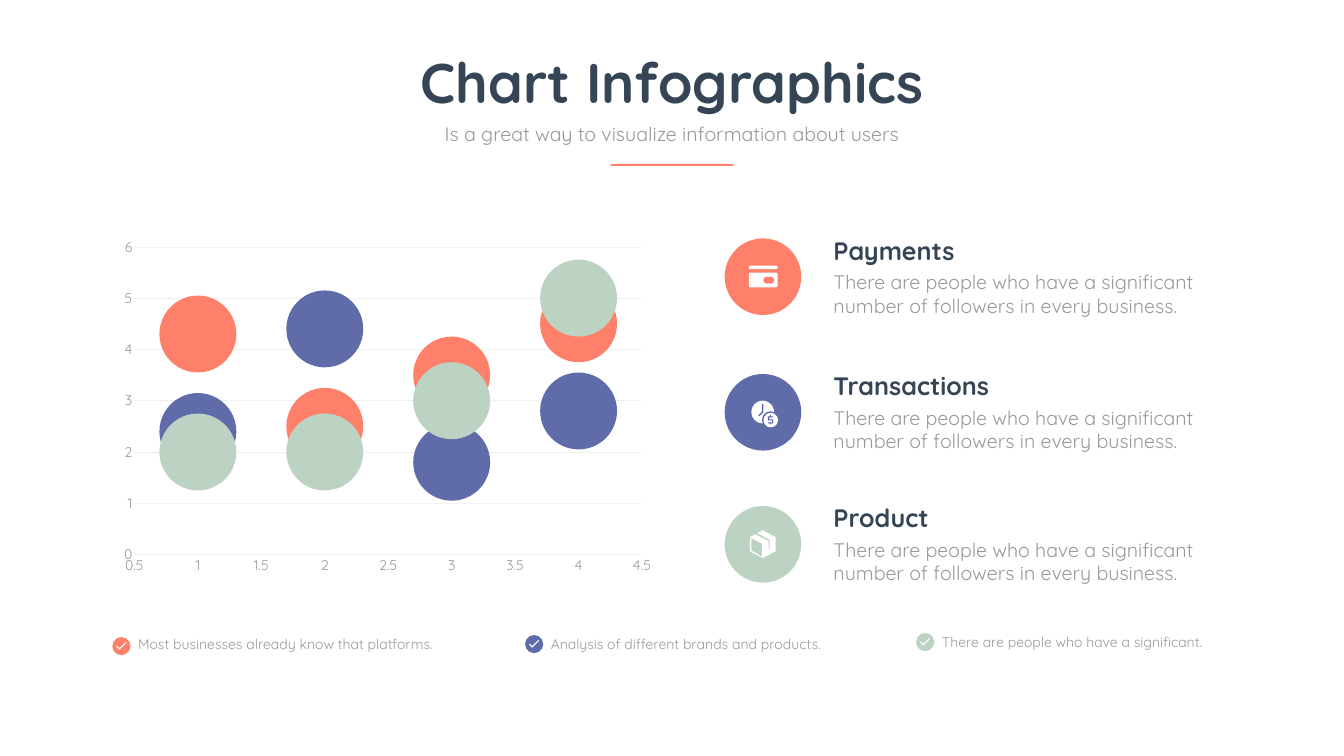
from lxml import etree
from pptx import Presentation
from pptx.chart.data import BubbleChartData
from pptx.dml.color import RGBColor
from pptx.enum.chart import XL_CHART_TYPE, XL_TICK_MARK
from pptx.enum.shapes import MSO_SHAPE
from pptx.enum.text import MSO_ANCHOR, MSO_AUTO_SIZE, PP_ALIGN
from pptx.oxml.ns import qn
from pptx.util import Inches, Pt

BUBBLE = XL_CHART_TYPE.BUBBLE
NO_TICK = XL_TICK_MARK.NONE
OVAL, RECT, ROUNDED = MSO_SHAPE.OVAL, MSO_SHAPE.RECTANGLE, MSO_SHAPE.ROUNDED_RECTANGLE
TOP = MSO_ANCHOR.TOP
GROW = MSO_AUTO_SIZE.SHAPE_TO_FIT_TEXT
LEFT, CENTER = PP_ALIGN.LEFT, PP_ALIGN.CENTER

CORAL, BLUE, SAGE = "FF806A", "5F6CA9", "BCD3C3"
DARK, GREY, PALE, WHITE = "364556", "999999", "F0F0F0", "FFFFFF"

TITLE = dict(name="Quicksand", size=Pt(80), bold=True)
HEADING = dict(name="Quicksand", size=Pt(36), bold=True)
BODY = dict(name="Quicksand", size=Pt(28), bold=False)
SMALL = dict(name="Quicksand", size=Pt(20), bold=False)

SERIES = [
    ("Series 1", CORAL, [4.3, 2.5, 3.5, 4.5]),
    ("Series 2", BLUE, [2.4, 4.4, 1.8, 2.8]),
    ("Series 3", SAGE, [2, 2, 3, 5]),
]
DESCRIPTION = "There are people who have a significant number of followers in every business."
NOTES = [
    (2.23, 12.64, 12.56, CORAL, "Most businesses already know that platforms."),
    (10.42, 12.6, 12.56, BLUE, "Analysis of different brands and products."),
    (18.18, 12.56, 12.52, SAGE, "There are people who have a significant."),
]

# Outlines in inches from the top left of the circle they sit on
CHECK = [(0.14, 0.22), (0.09, 0.17), (0.08, 0.19), (0.14, 0.25), (0.28, 0.11), (0.26, 0.1)]
CLOCK_HANDS = [(0.74, 0.6), (0.77, 0.6), (0.77, 0.76), (0.69, 0.84), (0.67, 0.82), (0.74, 0.75)]
DOLLAR = [
    (0.9, 0.81), (0.92, 0.81), (0.92, 0.84), (0.96, 0.84), (0.96, 0.86),
    (0.89, 0.86), (0.89, 0.9), (0.96, 0.9), (0.96, 0.98), (0.92, 0.98),
    (0.92, 1), (0.9, 1), (0.9, 0.98), (0.86, 0.98), (0.86, 0.96),
    (0.94, 0.96), (0.94, 0.92), (0.86, 0.92), (0.86, 0.84), (0.9, 0.84),
]
BOX = [(0.5, 0.62), (0.76, 0.48), (1.01, 0.62), (1.01, 0.9), (0.76, 1.03), (0.5, 0.9)]
BOX_FRONT = [(0.53, 0.64), (0.74, 0.75), (0.74, 1), (0.53, 0.88)]
BOX_TAPE = [(0.61, 0.56), (0.65, 0.54), (0.89, 0.67), (0.89, 0.84), (0.87, 0.85), (0.87, 0.69)]


def rgb(colour):
    return RGBColor.from_string(colour)


def apply_font(font, style, colour):
    for attribute, value in style.items():
        setattr(font, attribute, value)
    font.color.rgb = rgb(colour)


def paint(shape, colour):
    shape.shadow.inherit = False
    shape.fill.solid()
    shape.fill.fore_color.rgb = rgb(colour)
    shape.line.fill.background()


def add_preset(slide, kind, colour, left, top, width, height):
    shape = slide.shapes.add_shape(kind, *map(Inches, (left, top, width, height)))
    paint(shape, colour)
    return shape


def add_outline(slide, colour, left, top, points):
    corners = [(Inches(left + x), Inches(top + y)) for x, y in points]
    builder = slide.shapes.build_freeform(*corners[0])
    builder.add_line_segments(corners[1:], close=True)
    paint(builder.convert_to_shape(), colour)


def fill_text(holder, text, style, colour, align=LEFT):
    frame = holder.text_frame
    settings = dict(
        word_wrap=True, auto_size=GROW, vertical_anchor=TOP,
        margin_left=Inches(0.08), margin_right=Inches(0.08),
        margin_top=Inches(0.04), margin_bottom=Inches(0.04),
    )
    for attribute, value in settings.items():
        setattr(frame, attribute, value)
    paragraph = frame.paragraphs[0]
    paragraph.alignment = align
    paragraph.space_before = Pt(0)
    run = paragraph.add_run()
    run.text = text
    apply_font(run.font, style, colour)


def add_text(slide, text, style, colour, left, top, width, height):
    holder = slide.shapes.add_textbox(*map(Inches, (left, top, width, height)))
    fill_text(holder, text, style, colour)


def fill_placeholder(holder, text, style, colour, left, top, width, height):
    holder.left, holder.top = Inches(left), Inches(top)
    holder.width, holder.height = Inches(width), Inches(height)
    fill_text(holder, text, style, colour, CENTER)


def place_plot(chart, **box):
    """Fix the inner plot area, as fractions of the chart's size."""
    plot_area = chart.plots[0]._element.getparent()
    for old in plot_area.findall(qn("c:layout")):
        plot_area.remove(old)
    layout = etree.Element(qn("c:layout"))
    manual = etree.SubElement(layout, qn("c:manualLayout"))
    settings = dict(layoutTarget="inner", xMode="edge", yMode="edge", **box)
    for tag, value in settings.items():
        etree.SubElement(manual, qn(f"c:{tag}")).set("val", str(value))
    plot_area.insert(0, layout)


def format_axis(axis, minimum, maximum, step):
    settings = dict(
        minimum_scale=minimum, maximum_scale=maximum, major_unit=step,
        major_tick_mark=NO_TICK, minor_tick_mark=NO_TICK,
        has_title=False, has_major_gridlines=False,
    )
    for attribute, value in settings.items():
        setattr(axis, attribute, value)
    apply_font(axis.tick_labels.font, SMALL, GREY)
    axis.tick_labels.number_format = "General"
    axis.tick_labels.number_format_is_linked = False


def pale_line(line):
    line.color.rgb = rgb(PALE)
    line.width = Pt(0.75)


def add_bubbles(slide):
    data = BubbleChartData()
    for name, _, values in SERIES:
        series = data.add_series(name)
        for x, y in enumerate(values, 1):
            series.add_data_point(x, y, 1)
    box = map(Inches, (2.23, 4.62, 10.95, 6.94))
    chart = slide.shapes.add_chart(BUBBLE, *box, data).chart
    chart.has_legend = chart.has_title = False
    apply_font(chart.font, SMALL, GREY)
    plot = chart.plots[0]
    plot.bubble_scale = 100
    for series, (_, colour, _) in zip(plot.series, SERIES):
        series.format.fill.solid()
        series.format.fill.fore_color.rgb = rgb(colour)
        series.format.line.fill.background()
    format_axis(chart.category_axis, 0.5, 4.5, 0.5)
    pale_line(chart.category_axis.format.line)
    format_axis(chart.value_axis, 0, 6, 1)
    chart.value_axis.has_major_gridlines = True
    pale_line(chart.value_axis.major_gridlines.format.line)
    chart.value_axis.format.line.fill.background()
    place_plot(chart, x=0.04, y=0.04, w=0.92, h=0.88)


def draw_card(slide, accent, left, top):
    for y, height in ((0.54, 0.07), (0.68, 0.29)):
        bar = add_preset(slide, ROUNDED, WHITE, left + 0.48, top + y, 0.57, height)
        bar.adjustments[0] = 0.03 / height
    for x in (0.77, 0.84):
        add_preset(slide, OVAL, accent, left + x, top + 0.76, 0.14, 0.14)


def draw_clock(slide, accent, left, top):
    discs = [(WHITE, 0.53, 0.45), (accent, 0.74, 0.34), (WHITE, 0.77, 0.29)]
    for colour, offset, size in discs:
        add_preset(slide, OVAL, colour, left + offset, top + offset, size, size)
    for points in (CLOCK_HANDS, DOLLAR):
        add_outline(slide, accent, left, top, points)


def draw_box(slide, accent, left, top):
    for colour, points in ((WHITE, BOX), (accent, BOX_FRONT), (accent, BOX_TAPE)):
        add_outline(slide, colour, left, top, points)


def add_feature(slide, top, heading, colour, draw_icon):
    add_preset(slide, OVAL, colour, 14.38, top, 1.52, 1.52)
    draw_icon(slide, colour, 14.38, top)
    add_text(slide, heading, HEADING, DARK, 16.46, top - 0.11, 7.75, 0.71)
    add_text(slide, DESCRIPTION, BODY, GREY, 16.46, top + 0.59, 7.97, 1.04)


def add_note(slide, left, top, text_top, colour, text):
    add_preset(slide, OVAL, colour, left, top, 0.36, 0.36)
    add_outline(slide, WHITE, left, top, CHECK)
    add_text(slide, text, SMALL, GREY, left + 0.43, text_top, 6.32, 0.44)


def main():
    deck = Presentation()
    deck.slide_width, deck.slide_height = Inches(26.67), Inches(15)
    slide = deck.slides.add_slide(deck.slide_layouts[0])
    title, subtitle = slide.placeholders
    fill_placeholder(title, "Chart Infographics", TITLE, DARK, 6.88, 0.9, 12.91, 1.45)
    fill_placeholder(subtitle, "Is a great way to visualize information about users",
                     BODY, GREY, 8.55, 2.38, 9.56, 0.57)
    add_preset(slide, RECT, CORAL, 12.12, 3.25, 2.43, 0.04)
    add_bubbles(slide)
    add_feature(slide, 4.73, "Payments", CORAL, draw_card)
    add_feature(slide, 7.42, "Transactions", BLUE, draw_clock)
    add_feature(slide, 10.04, "Product", SAGE, draw_box)
    for note in NOTES:
        add_note(slide, *note)
    deck.save("out.pptx")


if __name__ == "__main__":
    main()
